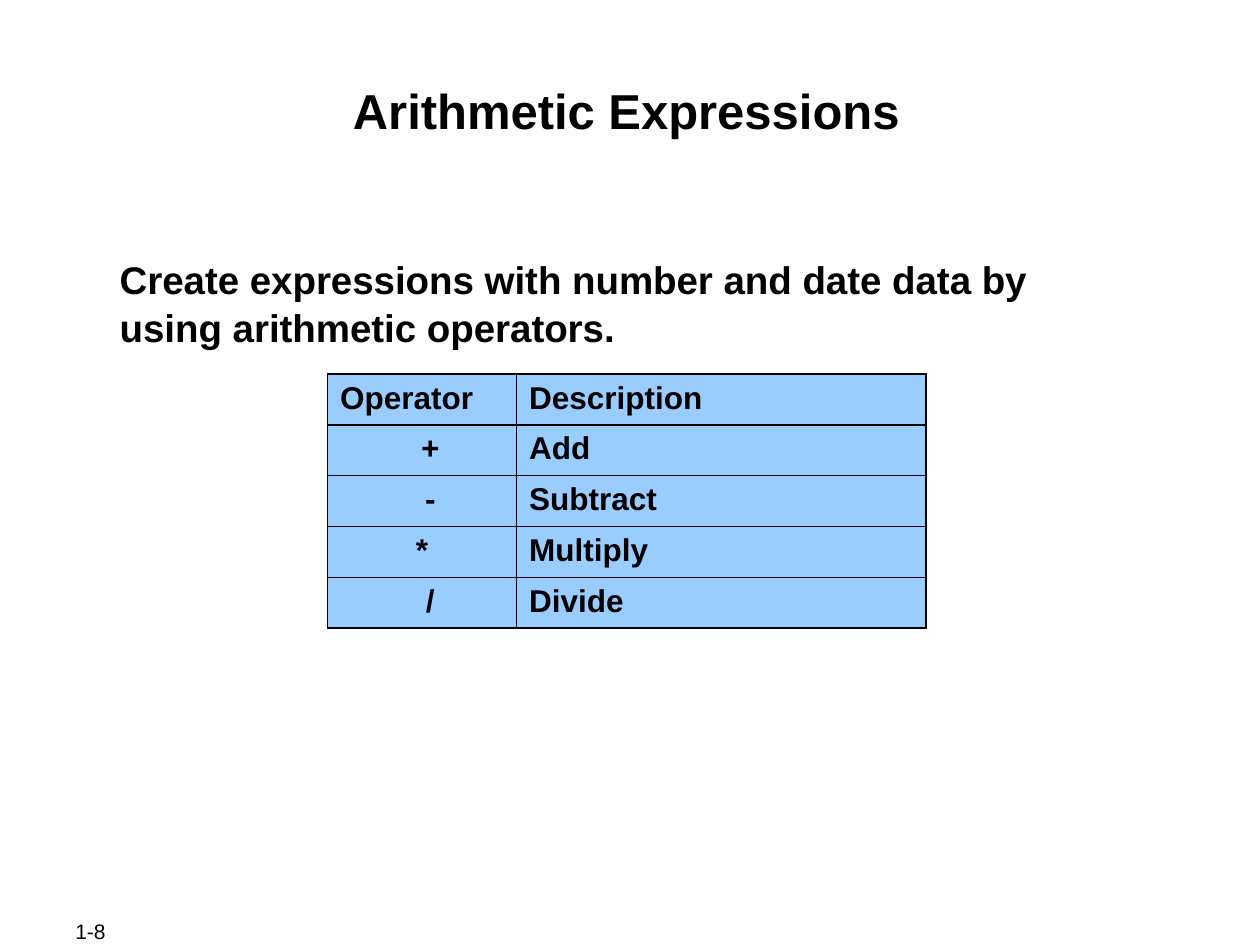
from pptx import Presentation
from pptx.dml.color import RGBColor
from pptx.enum.text import MSO_ANCHOR, PP_ALIGN
from pptx.oxml import parse_xml
from pptx.oxml.ns import nsdecls
from pptx.util import Inches, Pt

CENTER, LEFT = PP_ALIGN.CENTER, PP_ALIGN.LEFT
TOP, MIDDLE = MSO_ANCHOR.TOP, MSO_ANCHOR.MIDDLE
WIDTH, HEIGHT = Inches(10), Inches(7.5)
COLORS = {"text": "000000", "border": "000000", "cell": "99CCFF"}
FONT = "Arial"
THICK, THIN = 1.08, 0.45
COL_WIDTHS = (1.5, 3.25)
OPERATORS = [
    ("Operator", "Description"),
    ("+", "Add"),
    ("-", "Subtract"),
    ("*", "Multiply"),
    ("/", "Divide"),
]


def format_text(tf, size, bold=True, align=LEFT, before=0):
    """Format every paragraph and run of a text frame."""
    for p in tf.paragraphs:
        p.alignment = align
        p.space_before = Pt(before)
        for r in p.runs:
            r.font.name = FONT
            r.font.size = Pt(size)
            r.font.bold = bold
            r.font.color.rgb = RGBColor.from_string(COLORS["text"])


def add_text(s, text, box, size, insets=(0.01, 0.01), wrap=True, anchor=TOP, **style):
    """Add a text box placed by shares of the slide's size."""
    x, y, w, h = box
    sp = s.shapes.add_textbox(
        int(WIDTH * x), int(HEIGHT * y), int(WIDTH * w), int(HEIGHT * h))
    tf = sp.text_frame
    tf.text = text
    tf.word_wrap = wrap
    tf.vertical_anchor = anchor
    tf.margin_left = tf.margin_right = Inches(insets[0])
    tf.margin_top = tf.margin_bottom = Inches(insets[1])
    format_text(tf, size, **style)
    return tf


def set_borders(cell, widths):
    """Draw the left, right, top and bottom borders of a cell."""
    tc_pr = cell._tc.get_or_add_tcPr()
    for i, (side, width) in enumerate(zip("LRTB", widths)):
        tc_pr.insert(i, parse_xml(
            f'<a:ln{side} {nsdecls("a")} w="{Pt(width)}"><a:solidFill>'
            f'<a:srgbClr val="{COLORS["border"]}"/></a:solidFill></a:ln{side}>'))


def add_operator_table(s, left, top, height):
    """Add the operator table with a thick frame and header rule."""
    n_rows, n_cols = len(OPERATORS), len(COL_WIDTHS)
    table = s.shapes.add_table(
        n_rows, n_cols, int(WIDTH * left), int(HEIGHT * top),
        Inches(sum(COL_WIDTHS)), int(HEIGHT * height)).table
    table.first_row = table.horz_banding = False
    for col, width in zip(table.columns, COL_WIDTHS):
        col.width = Inches(width)
    for i, row in enumerate(OPERATORS):
        for j, text in enumerate(row):
            cell = table.cell(i, j)
            cell.text = text
            cell.fill.solid()
            cell.fill.fore_color.rgb = RGBColor.from_string(COLORS["cell"])
            is_symbol = i > 0 and j == 0
            format_text(cell.text_frame, 18, align=CENTER if is_symbol else LEFT, before=4.5)
            if is_symbol and text != "*":
                p = cell.text_frame.paragraphs[0]
                p.level = 1
                p_pr = p._p.get_or_add_pPr()
                p_pr.set("marL", str(Inches(0.13)))
                p_pr.set("indent", "0")
            thick = (j == 0, j == n_cols - 1, i <= 1, i in (0, n_rows - 1))
            set_borders(cell, [THICK if edge else THIN for edge in thick])


def main():
    """Build the slide and save it."""
    prs = Presentation()
    prs.slide_width, prs.slide_height = WIDTH, HEIGHT
    s = prs.slides.add_slide(prs.slide_layouts[6])
    add_text(s, "1-8", (0.05, 0.97, 0.11, 0.03), 12, insets=(0.1, 0.05),
             wrap=False, anchor=MIDDLE, bold=False)
    title = add_text(s, "Arithmetic Expressions", (0.097, 0.077, 0.8, 0.128), 28,
                     align=CENTER, before=7)
    title.margin_top = Inches(0.06)
    body = add_text(
        s, "Create expressions with number and date data by using arithmetic operators.",
        (0.094, 0.265, 0.806, 0.101), 22, before=5.5)
    body.margin_top = Inches(0.03)
    body.paragraphs[0].line_spacing = 1.04
    add_operator_table(s, 0.26, 0.396, 0.269)
    prs.save("out.pptx")


if __name__ == "__main__":
    main()
